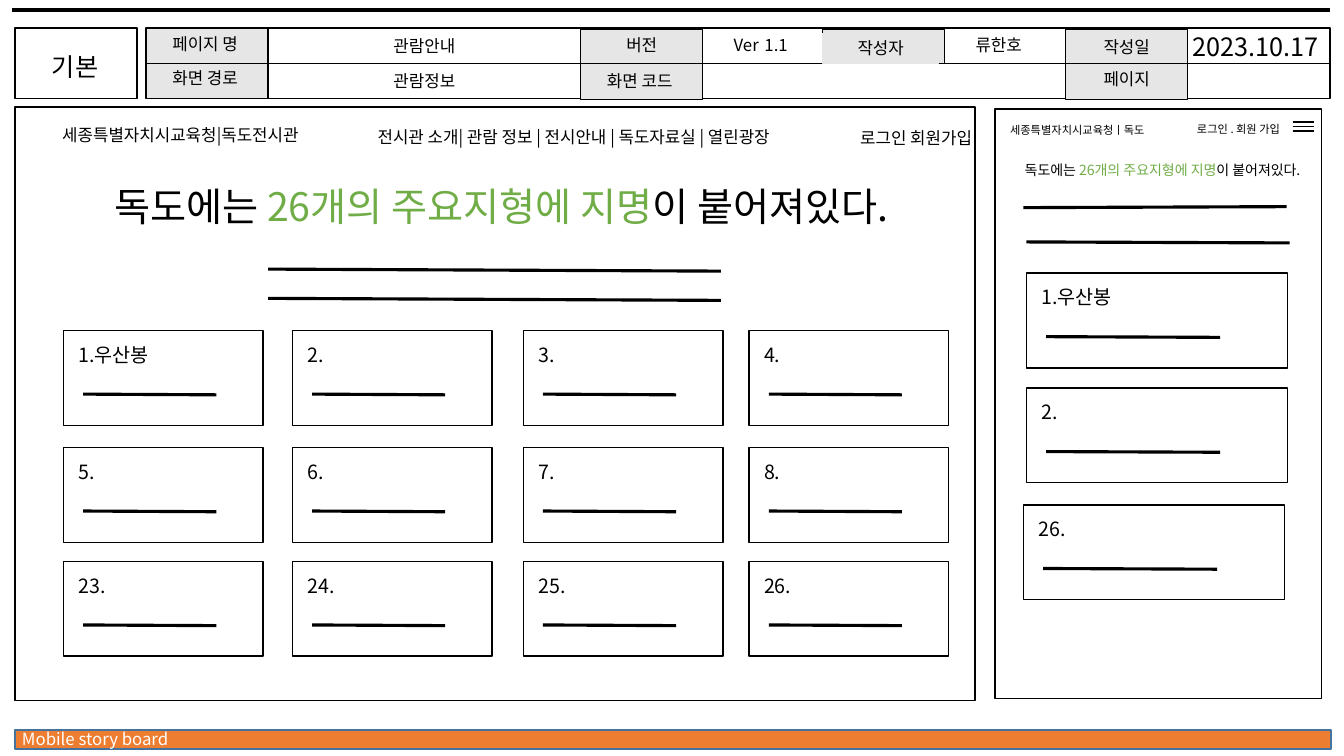
from typing import NamedTuple, Optional

from lxml import etree
from pptx import Presentation
from pptx.dml.color import RGBColor
from pptx.enum.shapes import MSO_CONNECTOR, MSO_SHAPE
from pptx.enum.text import MSO_AUTO_SIZE, PP_ALIGN
from pptx.oxml.ns import qn
from pptx.util import Inches, Pt

RECTANGLE = MSO_SHAPE.RECTANGLE
STRAIGHT = MSO_CONNECTOR.STRAIGHT
GROW = MSO_AUTO_SIZE.SHAPE_TO_FIT_TEXT
LEFT, CENTER, RIGHT = PP_ALIGN.LEFT, PP_ALIGN.CENTER, PP_ALIGN.RIGHT

FONT = "Noto Sans CJK KR"
COLORS = {"black": "000000", "white": "FFFFFF", "label": "E7E6E6",
          "accent": "70AD47", "footer": "ED7D31", "footer edge": "43739E"}

# The slide is a grid of square cells, 133.3 columns by 75 rows.
COLUMNS, ROWS = 133.3, 75
CELL = Inches(0.1)


class Box(NamedTuple):
    """A rectangle in grid columns and rows, with its fill and outline."""
    left: float
    top: float
    width: float
    height: float
    fill: Optional[str] = None
    line: str = "black"


class Rule(NamedTuple):
    """A straight line between two grid points."""
    x1: float
    y1: float
    x2: float
    y2: float
    weight: float = 2.25


class Run(NamedTuple):
    """A piece of text with one size and colour."""
    text: str
    size: float = 12
    color: str = "black"


class Label(NamedTuple):
    """A text box on the grid."""
    left: float
    top: float
    width: float
    height: float
    runs: list[Run]
    align: PP_ALIGN = CENTER
    line: Optional[str] = None


def cells(*values: float) -> list[int]:
    """Turn grid lengths into slide units."""
    return [round(value * CELL) for value in values]


def color(name: str) -> RGBColor:
    """Look up a named colour."""
    return RGBColor.from_string(COLORS[name])


def draw_box(slide, box: Box) -> None:
    """Draw an outlined rectangle."""
    shape = slide.shapes.add_shape(RECTANGLE, *cells(*box[:4]))
    shape.shadow.inherit = False
    if box.fill:
        shape.fill.solid()
        shape.fill.fore_color.rgb = color(box.fill)
    else:
        shape.fill.background()
    shape.line.color.rgb = color(box.line)
    shape.line.width = Pt(1)


def draw_rule(slide, rule: Rule) -> None:
    """Draw a black line without a shadow."""
    connector = slide.shapes.add_connector(STRAIGHT, *cells(*rule[:4]))
    connector.line.color.rgb = color("black")
    connector.line.width = Pt(rule.weight)
    etree.SubElement(connector._element.spPr, qn("a:effectLst"))


def draw_label(slide, label: Label) -> None:
    """Draw a text box run by run."""
    shape = slide.shapes.add_textbox(*cells(*label[:4]))
    if label.line:
        shape.line.color.rgb = color(label.line)
        shape.line.width = Pt(0.75)
    frame = shape.text_frame
    frame.word_wrap = True
    frame.auto_size = GROW
    paragraph = frame.paragraphs[0]
    paragraph.alignment = label.align
    for part in label.runs:
        run = paragraph.add_run()
        run.text = part.text
        run.font.size = Pt(part.size)
        run.font.color.rgb = color(part.color)
        run.font.name = FONT
        etree.SubElement(run.font._element, qn("a:ea"), typeface=FONT)


def draw_card(slide, left: float, top: float, width: float, title: str) -> None:
    """Draw a place-name card: frame, title and a sloping rule."""
    draw_box(slide, Box(left, top, width, 9.4))
    draw_label(slide, Label(left + 0.5, top + 0.7, width * 0.74, 3.4,
                            [Run(title, 14)], LEFT))
    start = left + 1.95
    draw_rule(slide, Rule(start, top + 6.3, start + width * 2 / 3, top + 6.37))


def headline(size: float) -> list[Run]:
    """Give the headline runs at one size."""
    return [Run("독도에는 ", size),
            Run("26개의 주요지형에 지명", size, "accent"),
            Run("이 붙어져있다.", size)]


BOXES = [
    Box(1.5, 72.4, 130.5, 1.9, "footer", "footer edge"),
    Box(1.5, 2.8, 12.1, 7),
    Box(14.5, 2.8, 117.4, 7),
    Box(1.5, 10.6, 95.2, 58.9),
    Box(98.7, 10.8, 32.4, 58.5),
    Box(14.5, 2.8, 12.1, 7, "label"),
    Box(57.6, 2.9, 12.1, 7, "label"),
    Box(81.6, 2.9, 12.1, 3.4, "label"),
    Box(105.7, 2.9, 12.1, 7, "label"),
]

RULES = [
    Rule(1.2, 1, 131.9, 1, 3),
    Rule(14.5, 6.3, 131.9, 6.3, 0.5),
    *[Rule(128.2, y, 130.3, y, 1) for y in (12.1, 12.55, 13)],
    *[Rule(26.6, y, 71.5, y + 0.2) for y in (26.7, 29.6)],
    Rule(101.5, 20.6, 127.6, 20.5),
    Rule(101.8, 24, 127.9, 24.1),
]

LABELS = [
    Label(1.2, 71.8, 32, 3, [Run("Mobile story board", 12, "white")], LEFT),
    Label(1.7, 4.6, 11.5, 4.2, [Run("기본", 18)]),
    Label(14.6, 2.9, 11.5, 3, [Run("페이지 명")]),
    Label(14.6, 6.2, 11.5, 3, [Run("화면 경로")]),
    Label(30.6, 3.1, 23, 3, [Run("관람안내")]),
    Label(30.6, 6.5, 23, 3, [Run("관람정보")]),
    Label(57.9, 3, 11.5, 3, [Run("버전")]),
    Label(57.7, 6.5, 11.5, 3, [Run("화면 코드")]),
    Label(65.4, 2.1, 20.1, 4, [Run("Ver"), Run(" ", 18), Run("1.1")]),
    Label(81.6, 3.3, 11.5, 3, [Run("작성자")], CENTER, "label"),
    Label(89, 3, 20.1, 3, [Run("류한호")]),
    Label(106, 3.2, 11.5, 3, [Run("작성일")]),
    Label(106, 6.3, 11.5, 3, [Run("페이지")]),
    Label(114.5, 2.6, 20.1, 4, [Run("2023.10.17", 18)]),
    Label(2.6, 11.9, 30.6, 3, [Run("세종특별자치시교육청|독도전시관")]),
    Label(33.7, 12.1, 46.4, 3,
          [Run("전시관 소개| 관람 정보 | 전시안내 | 독도자료실 | 열린광장")]),
    Label(58.3, 12.2, 39.1, 3, [Run("로그인 회원가입")], RIGHT),
    Label(6.3, 17.6, 86.8, 5.7, headline(28)),
    Label(99.2, 11.7, 18.7, 2.4, [Run("세종특별자치시교육청ㅣ독도", 8)], LEFT),
    Label(115.8, 11.6, 12.4, 2.4, [Run("로그인 . 회원 가입 ", 8)], RIGHT),
    Label(99.2, 15.5, 32.2, 2.7, headline(10)),
]

CARD_COLUMNS = (6.3, 29, 51.9, 74.3)
CARD_ROWS = {
    32.8: ("1.우산봉", "2.", "3.", "4."),
    44.4: ("5.", "6.", "7.", "8."),
    55.7: ("23.", "24.", "25.", "26."),
}
MOBILE_CARDS = [(101.8, 27.1, "1.우산봉"), (101.8, 38.5, "2."),
                (101.5, 50.1, "26.")]


def main() -> None:
    """Build and save the story board slide."""
    presentation = Presentation()
    presentation.slide_width, presentation.slide_height = cells(COLUMNS, ROWS)
    slide = presentation.slides.add_slide(presentation.slide_layouts[6])
    for box in BOXES:
        draw_box(slide, box)
    for rule in RULES:
        draw_rule(slide, rule)
    for label in LABELS:
        draw_label(slide, label)
    for top, titles in CARD_ROWS.items():
        for left, title in zip(CARD_COLUMNS, titles):
            draw_card(slide, left, top, 19.8, title)
    for left, top, title in MOBILE_CARDS:
        draw_card(slide, left, top, 25.9, title)
    presentation.save("out.pptx")


main()
